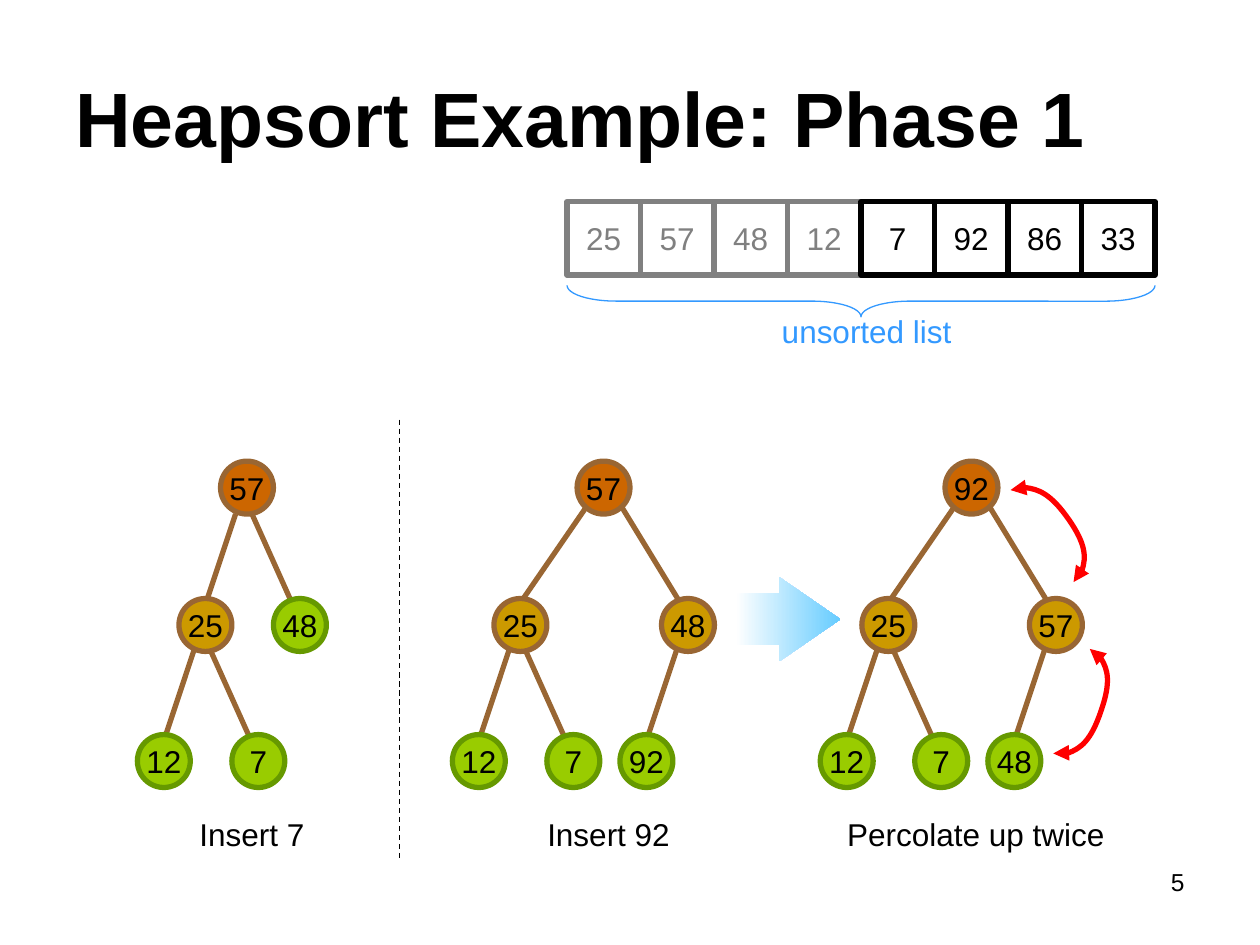
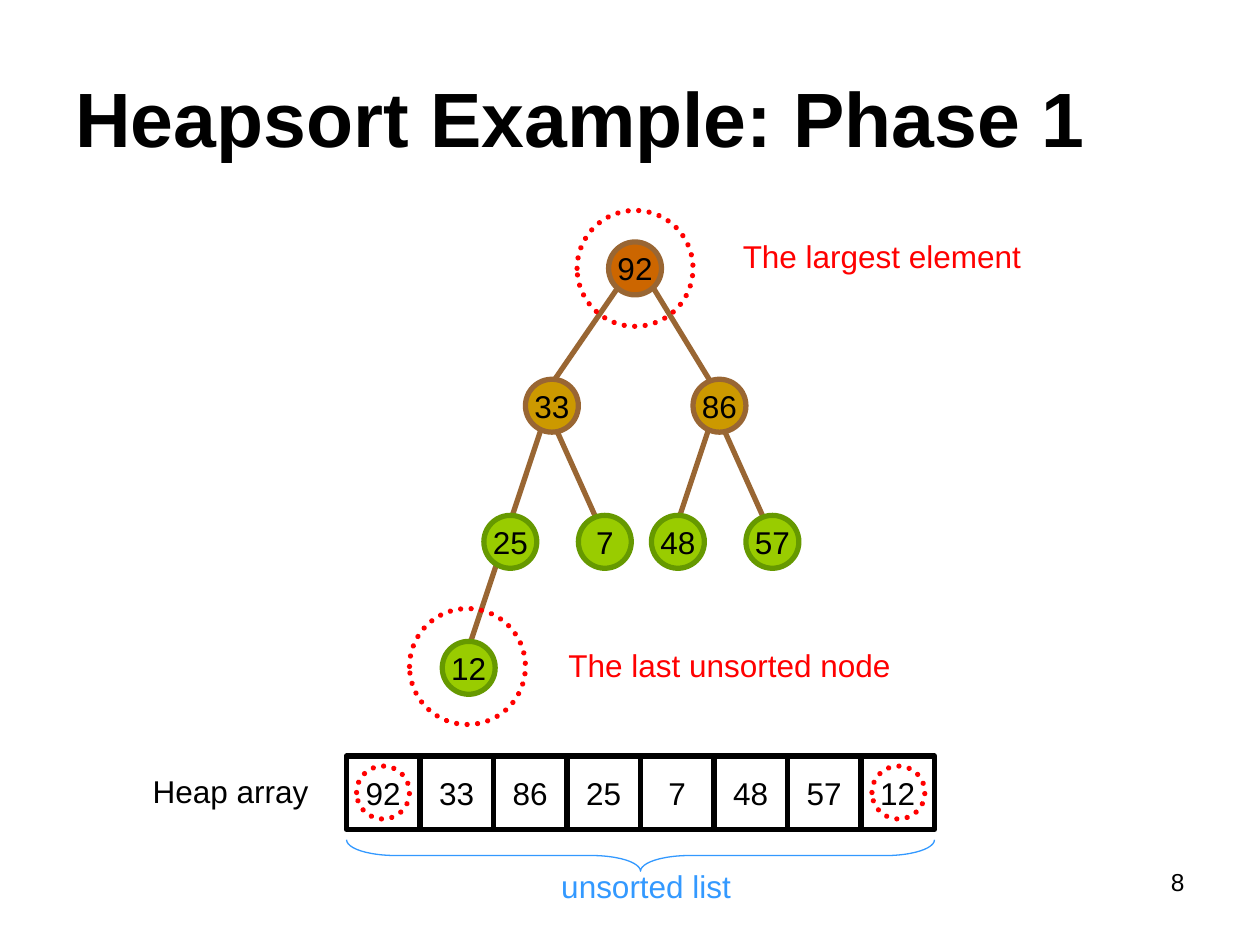
from dataclasses import dataclass
from typing import NamedTuple, Optional

import lxml.etree
import pptx
import pptx.dml.color
import pptx.enum.dml
import pptx.enum.shapes
import pptx.enum.text
import pptx.oxml.ns
import pptx.util

Inches = pptx.util.Inches
Pt = pptx.util.Pt
qn = pptx.oxml.ns.qn
SHAPES = pptx.enum.shapes.MSO_SHAPE
ALIGN = pptx.enum.text.PP_ALIGN
ANCHOR = pptx.enum.text.MSO_ANCHOR
DASH = pptx.enum.dml.MSO_LINE


@dataclass(frozen=True)
class Theme:
    font: str = "Arial"
    title_size: int = 44
    body_size: int = 18
    number_size: int = 14
    text: str = "000000"
    paper: str = "FFFFFF"
    done: str = "808080"
    note: str = "3399FF"
    accent: str = "FF0000"
    branch: str = "996633"
    arrow: str = "66CCFF"
    heavy: float = 3
    thin: float = 0.75


THEME = Theme()


class Box(NamedTuple):
    left: float
    top: float
    width: float
    height: float


class NodeStyle(NamedTuple):
    fill: str
    line: str


class Edge(NamedTuple):
    shift: float
    start: float
    run: float
    rise: float


@dataclass(frozen=True)
class Node:
    value: str
    style: NodeStyle
    left: Optional["Node"] = None
    right: Optional["Node"] = None
    wide: bool = False


class Label(NamedTuple):
    text: str
    left: float
    top: float
    width: float
    color: str = THEME.text


ROOT = NodeStyle("CC6600", THEME.branch)
INNER = NodeStyle("CC9900", THEME.branch)
LEAF = NodeStyle("99CC00", "669900")

NARROW_EDGES = (Edge(-0.33, 0.01, 0.23, 0.69), Edge(0.42, -0.07, -0.31, 0.69))
WIDE_EDGES = (Edge(-0.66, 0.01, 0.53, 0.77), Edge(0.67, -0.07, -0.47, 0.77))
LEVEL_DROPS = (1.09, 1.08, 1.0)
NODE_SIZE = 0.42
CELL_SIZE = 7 / 12
LABEL_HEIGHT = 0.4


def rgb(color: str) -> pptx.dml.color.RGBColor:
    return pptx.dml.color.RGBColor.from_string(color)


def write_text(shape, text: str, *, size: int = THEME.body_size, color: str = THEME.text,
               bold: bool = False, align=ALIGN.CENTER, anchor=ANCHOR.MIDDLE,
               wrap: bool = True) -> None:
    frame = shape.text_frame
    frame.word_wrap = wrap
    frame.vertical_anchor = anchor
    paragraph = frame.paragraphs[0]
    paragraph.alignment = align
    run = paragraph.add_run()
    run.text = text
    run.font.name = THEME.font
    run.font.size = Pt(size)
    run.font.bold = bold
    run.font.color.rgb = rgb(color)


def add_text_box(slide, box: Box, text: str, **text_format) -> None:
    shape = slide.shapes.add_textbox(*map(Inches, box))
    write_text(shape, text, **text_format)


def add_label(slide, label: Label) -> None:
    box = Box(label.left, label.top, label.width, LABEL_HEIGHT)
    add_text_box(slide, box, label.text, color=label.color, anchor=ANCHOR.TOP)


def style_line(line, color: str, width: float, dash=None) -> None:
    line.color.rgb = rgb(color)
    line.width = Pt(width)
    if dash is not None:
        line.dash_style = dash


def add_preset(slide, kind, box: Box, *, fill: Optional[str] = None,
               line: Optional[str] = None, width: float = THEME.heavy, dash=None):
    shape = slide.shapes.add_shape(kind, *map(Inches, box))
    shape.shadow.inherit = False
    if fill:
        shape.fill.solid()
        shape.fill.fore_color.rgb = rgb(fill)
    else:
        shape.fill.background()
    if line:
        style_line(shape.line, line, width, dash)
    else:
        shape.line.fill.background()
    return shape


def add_line(slide, start: tuple[float, float], end: tuple[float, float],
             color: str, width: float, dash=None) -> None:
    connector = slide.shapes.add_connector(
        pptx.enum.shapes.MSO_CONNECTOR.STRAIGHT, *map(Inches, start + end))
    style_line(connector.line, color, width, dash)
    lxml.etree.SubElement(connector._element.spPr, qn("a:effectLst"))


def add_tree(slide, node: Node, x: float, y: float, depth: int = 0) -> None:
    edges = WIDE_EDGES if node.wide else NARROW_EDGES
    for child, edge in zip((node.left, node.right), edges):
        if child is None:
            continue
        child_x, child_y = x + edge.shift, y + LEVEL_DROPS[depth]
        start = (child_x + edge.start, child_y - 0.19)
        end = (start[0] + edge.run, start[1] - edge.rise)
        add_line(slide, start, end, THEME.branch, THEME.heavy)
        add_tree(slide, child, child_x, child_y, depth + 1)
    box = Box(x - NODE_SIZE / 2, y - NODE_SIZE / 2, NODE_SIZE, NODE_SIZE)
    circle = add_preset(slide, SHAPES.OVAL, box, fill=node.style.fill, line=node.style.line)
    write_text(circle, node.value, wrap=False)


def add_array(slide, values: list[str], left: float, top: float, done: int = 0) -> None:
    for index, value in enumerate(values):
        color = THEME.done if index < done else THEME.text
        box = Box(left + index * CELL_SIZE, top, CELL_SIZE, CELL_SIZE)
        cell = add_preset(slide, SHAPES.RECTANGLE, box, fill=THEME.paper, line=color)
        write_text(cell, value, color=color, wrap=False)
    length = len(values) * CELL_SIZE
    center = left + length / 2
    brace = add_preset(slide, SHAPES.RIGHT_BRACE,
                       Box(center - 0.125, top + 0.79 - length / 2, 0.25, length),
                       line=THEME.note, width=THEME.thin)
    brace.rotation = 90
    brace.adjustments[0] = 1.556
    add_label(slide, Label("unsorted list", center - 0.83, top + 0.83, 1.75, THEME.note))


def add_ring(slide, x: float, y: float, size: float) -> None:
    box = Box(x - size / 2, y - size / 2, size, size)
    ring = add_preset(slide, SHAPES.OVAL, box, line=THEME.accent, dash=DASH.ROUND_DOT)
    ring.line._get_or_add_ln().set("cap", "rnd")


def add_swap_arrow(slide, points: list[tuple[float, float]]) -> None:
    scaled = [(Inches(x), Inches(y)) for x, y in points]
    builder = slide.shapes.build_freeform(*scaled[0])
    builder.add_line_segments(scaled[1:], close=False)
    curve = builder.convert_to_shape()
    curve.shadow.inherit = False
    curve.fill.background()
    style_line(curve.line, THEME.accent, THEME.heavy)
    segments = list(curve._element.iter(qn("a:lnTo")))
    for index in range(0, len(segments), 3):
        bezier = lxml.etree.Element(qn("a:cubicBezTo"))
        segments[index].addprevious(bezier)
        for segment in segments[index:index + 3]:
            bezier.append(segment[0])
            segment.getparent().remove(segment)
    outline = curve.line._get_or_add_ln()
    for end in ("a:headEnd", "a:tailEnd"):
        lxml.etree.SubElement(outline, qn(end), type="triangle")


def add_step_arrow(slide, box: Box) -> None:
    arrow = add_preset(slide, SHAPES.RIGHT_ARROW, box)
    arrow.adjustments[0] = 0.604
    arrow.adjustments[1] = 0.724
    arrow.fill.gradient()
    arrow.fill.gradient_angle = 0
    for stop, color, position in zip(arrow.fill.gradient_stops,
                                     (THEME.paper, THEME.arrow), (0, 1)):
        stop.color.rgb = rgb(color)
        stop.position = position


def add_base_slide(presentation, number: str):
    slide = presentation.slides.add_slide(presentation.slide_layouts[6])
    add_text_box(slide, Box(7.17, 6.83, 2.33, 0.52), number, size=THEME.number_size,
                 align=ALIGN.RIGHT, anchor=ANCHOR.TOP)
    add_text_box(slide, Box(0.5, 0.3, 9, 1.25), "Heapsort Example: Phase 1",
                 size=THEME.title_size, bold=True, align=ALIGN.LEFT)
    return slide


def build_insert_slide(presentation) -> None:
    slide = add_base_slide(presentation, "5")
    add_array(slide, ["25", "57", "48", "12", "7", "92", "86", "33"], 4.5, 1.6, done=4)
    add_line(slide, (3.17, 3.33), (3.17, 6.83), THEME.text, THEME.thin, DASH.DASH)

    left_branch = Node("25", INNER, Node("12", LEAF), Node("7", LEAF))
    insert_7 = Node("57", ROOT, left_branch, Node("48", LEAF))
    insert_92 = Node("57", ROOT, left_branch, Node("48", INNER, Node("92", LEAF)), wide=True)
    percolated = Node("92", ROOT, left_branch, Node("57", INNER, Node("48", LEAF)), wide=True)
    for tree, x in ((insert_7, 1.96), (insert_92, 4.79), (percolated, 7.71)):
        add_tree(slide, tree, x, 3.87)

    for label in (Label("Insert 7", 1.25, 6.42, 1.5),
                  Label("Insert 92", 4.08, 6.42, 1.5),
                  Label("Percolate up twice", 6.58, 6.42, 2.33)):
        add_label(slide, label)

    add_swap_arrow(slide, [(8.36, 5.98), (8.49, 6.03), (8.66, 5.88), (8.74, 5.64),
                           (8.82, 5.41), (8.78, 5.19), (8.65, 5.15)])
    add_swap_arrow(slide, [(8.52, 4.62), (8.64, 4.54), (8.62, 4.32), (8.48, 4.12),
                           (8.34, 3.92), (8.14, 3.82), (8.02, 3.89)])
    add_step_arrow(slide, Box(5.84, 4.58, 0.83, 0.67))


def build_heap_slide(presentation) -> None:
    slide = add_base_slide(presentation, "8")
    add_array(slide, ["92", "33", "86", "25", "7", "48", "57", "12"], 2.75, 6)
    heap = Node("92", ROOT,
                Node("33", INNER, Node("25", LEAF, Node("12", LEAF)), Node("7", LEAF)),
                Node("86", INNER, Node("48", LEAF), Node("57", LEAF)), wide=True)
    add_tree(slide, heap, 5.04, 2.13)

    for label in (Label("Heap array", 1.08, 6.08, 1.5),
                  Label("The largest element", 5.75, 1.83, 2.5, THEME.accent),
                  Label("The last unsorted node", 4.25, 5.08, 3.08, THEME.accent)):
        add_label(slide, label)
    for x, y, size in ((5.04, 2.13, 0.92), (3.71, 5.29, 0.92),
                       (3.04, 6.29, NODE_SIZE), (7.13, 6.29, NODE_SIZE)):
        add_ring(slide, x, y, size)


def main() -> None:
    presentation = pptx.Presentation()
    presentation.slide_width = Inches(10)
    presentation.slide_height = Inches(7.5)
    build_insert_slide(presentation)
    build_heap_slide(presentation)
    presentation.save("out.pptx")


if __name__ == "__main__":
    main()
